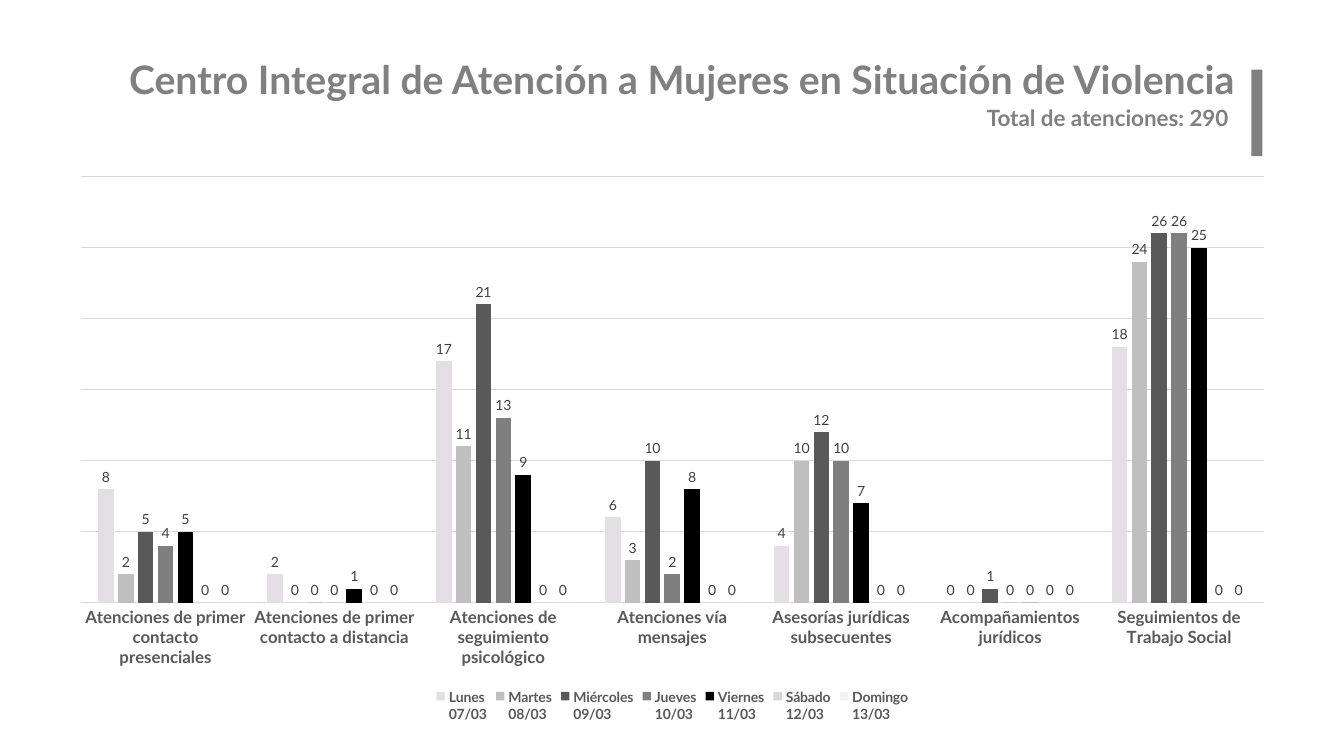
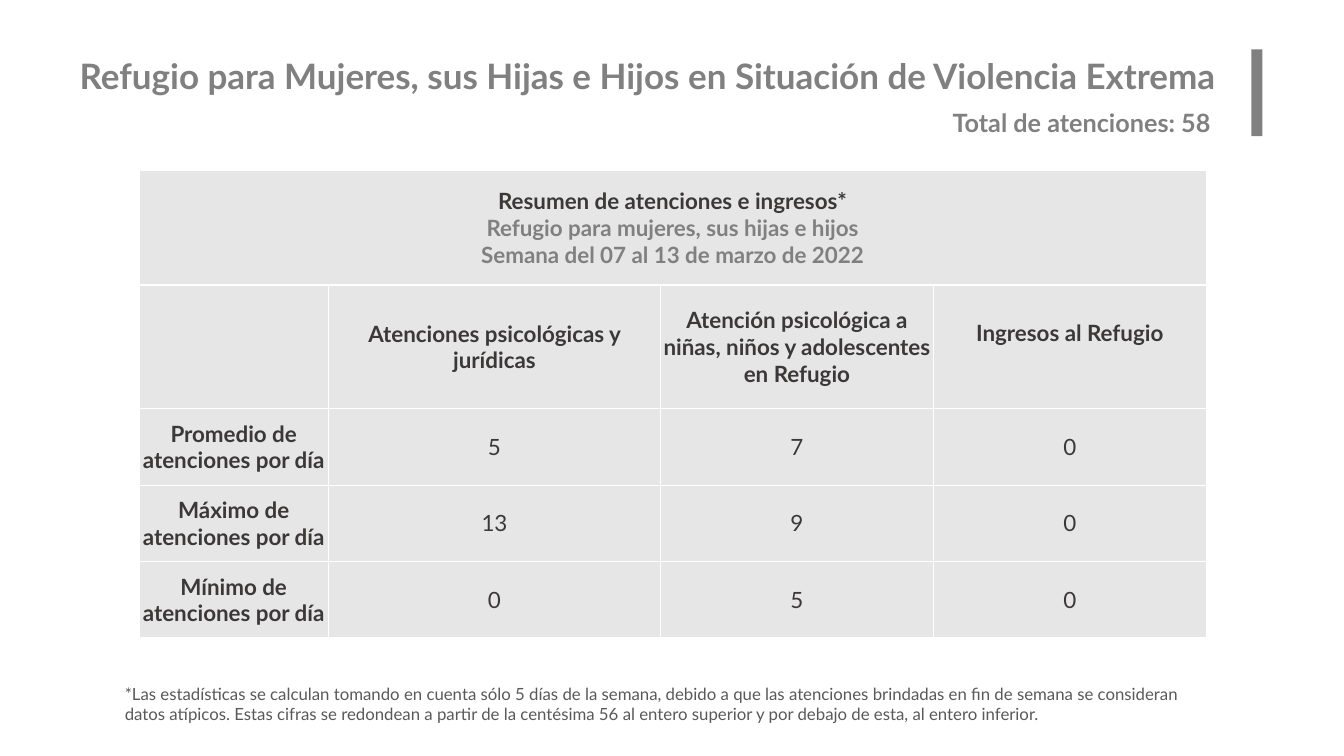
import lxml.etree
import pptx
import pptx.chart.data
import pptx.dml.color
import pptx.enum.chart
import pptx.enum.shapes
import pptx.enum.text
import pptx.oxml
import pptx.oxml.ns
import pptx.util

FONT = "Lato"
ACCENT = "808080"
BODY = "595959"
GRID = "D9D9D9"
LABEL = "404040"
CELL_TEXT = "3B3838"
CELL_FILL = "E7E6E6"
WHITE = "FFFFFF"

SLIDE_WIDTH = pptx.util.Inches(13.33)
SLIDE_HEIGHT = pptx.util.Inches(7.5)
TITLE_ONLY = 5
ALIGN = pptx.enum.text.PP_ALIGN
ANCHOR = pptx.enum.text.MSO_ANCHOR

CATEGORIES = [
    "Atenciones de primer contacto presenciales",
    "Atenciones de primer contacto a distancia",
    "Atenciones de seguimiento psicológico",
    "Atenciones vía mensajes",
    "Asesorías jurídicas subsecuentes",
    "Acompañamientos jurídicos",
    "Seguimientos de Trabajo Social",
]
DAYS = [
    ("Lunes\n07/03", "E3DFE5", (8, 2, 17, 6, 4, 0, 18)),
    ("Martes\n08/03", "BFBFBF", (2, 0, 11, 3, 10, 0, 24)),
    ("Miércoles\n09/03", "595959", (5, 0, 21, 10, 12, 1, 26)),
    ("Jueves\n10/03", "7F7F7F", (4, 0, 13, 2, 10, 0, 26)),
    ("Viernes\n11/03", "000000", (5, 1, 9, 8, 7, 0, 25)),
    ("Sábado\n12/03", "D9D9D9", (0,) * 7),
    ("Domingo\n13/03", "F2F2F2", (0,) * 7),
]

SUMMARY_HEADING = (
    "Resumen de atenciones e ingresos*\n"
    "Refugio para mujeres, sus hijas e hijos\n"
    "Semana del 07 al 13 de marzo de 2022"
)
SUMMARY_ROWS = [
    (SUMMARY_HEADING, "", "", ""),
    ("", "Atenciones psicológicas y jurídicas",
     "Atención psicológica a niñas, niños y adolescentes en Refugio",
     "Ingresos al Refugio"),
    ("Promedio de atenciones por día", "5", "7", "0"),
    ("Máximo de atenciones por día", "13", "9", "0"),
    ("Mínimo de atenciones por día", "0", "5", "0"),
]
COLUMN_WEIGHTS = (1.88, 3.3, 2.71, 2.71)
ROW_WEIGHTS = (1.14, 1.23, 0.76, 0.76, 0.76)
FOOTNOTE = (
    "*Las estadísticas se calculan tomando en cuenta sólo 5 días de la semana, "
    "debido a que las atenciones brindadas en fin de semana se consideran datos "
    "atípicos. Estas cifras se redondean a partir de la centésima 56 al entero "
    "superior y por debajo de esta, al entero inferior."
)


def color(value):
    return pptx.dml.color.RGBColor.from_string(value)


def area(left, top, width, height):
    """Turn percentages of the slide into lengths."""
    return (
        int(SLIDE_WIDTH * left / 100),
        int(SLIDE_HEIGHT * top / 100),
        int(SLIDE_WIDTH * width / 100),
        int(SLIDE_HEIGHT * height / 100),
    )


def style_font(font, size, hex_color, bold=False):
    font.name = FONT
    font.size = pptx.util.Pt(size)
    font.bold = bold
    font.color.rgb = color(hex_color)


def set_margins(target, horizontal, vertical):
    target.margin_left = target.margin_right = pptx.util.Inches(horizontal)
    target.margin_top = target.margin_bottom = pptx.util.Inches(vertical)


def fill_frame(frame, text, size, hex_color, bold, align, margins=(0.1, 0.05)):
    frame.text = text
    frame.word_wrap = True
    frame.auto_size = pptx.enum.text.MSO_AUTO_SIZE.NONE
    frame.vertical_anchor = ANCHOR.TOP
    set_margins(frame, *margins)
    paragraph = frame.paragraphs[0]
    paragraph.alignment = align
    style_font(paragraph.font, size, hex_color, bold)


def add_title(slide, place, text, size, align, margins):
    title = slide.shapes.title
    title.left, title.top, title.width, title.height = area(*place)
    fill_frame(title.text_frame, text, size, ACCENT, True, align, margins)


def add_text(slide, place, text, size, hex_color, bold=False):
    shape = slide.shapes.add_textbox(*area(*place))
    fill_frame(shape.text_frame, text, size, hex_color, bold, ALIGN.LEFT)


def add_accent_bar(slide, top):
    bar = slide.shapes.add_shape(
        pptx.enum.shapes.MSO_SHAPE.RECTANGLE, *area(93.1, top, 0.83, 11.47))
    bar.shadow.inherit = False
    bar.fill.solid()
    bar.fill.fore_color.rgb = color(ACCENT)
    bar.line.fill.background()


def style_line(line):
    line.color.rgb = color(GRID)
    line.width = pptx.util.Pt(0.75)


def style_axes(chart):
    category_axis = chart.category_axis
    category_axis.major_tick_mark = pptx.enum.chart.XL_TICK_MARK.NONE
    style_font(category_axis.tick_labels.font, 12, BODY, True)
    style_line(category_axis.format.line)
    value_axis = chart.value_axis
    value_axis.visible = False
    value_axis.minimum_scale = 0
    value_axis.maximum_scale = 30
    value_axis.major_unit = 5
    value_axis.has_major_gridlines = True
    style_line(value_axis.major_gridlines.format.line)


def style_series(series, fill):
    series.format.fill.solid()
    series.format.fill.fore_color.rgb = color(fill)
    labels = series.data_labels
    labels.show_value = True
    labels.position = pptx.enum.chart.XL_LABEL_POSITION.OUTSIDE_END
    style_font(labels.font, 10, LABEL)


def add_column_chart(slide, place):
    data = pptx.chart.data.CategoryChartData()
    data.categories = CATEGORIES
    for name, _, values in DAYS:
        data.add_series(name, values)
    chart = slide.shapes.add_chart(
        pptx.enum.chart.XL_CHART_TYPE.COLUMN_CLUSTERED, *area(*place), data).chart
    style_font(chart.font, 10, "000000")
    chart.has_title = False
    chart.has_legend = True
    chart.legend.position = pptx.enum.chart.XL_LEGEND_POSITION.BOTTOM
    chart.legend.include_in_layout = False
    style_font(chart.legend.font, 10, BODY, True)
    style_axes(chart)
    plot = chart.plots[0]
    plot.vary_by_categories = False
    plot.gap_width = 219
    plot.overlap = -27
    for series, (_, fill, _) in zip(plot.series, DAYS):
        style_series(series, fill)


def add_borders(cell):
    properties = cell._tc.get_or_add_tcPr()
    for side in ("lnL", "lnR", "lnT", "lnB"):
        line = lxml.etree.SubElement(
            properties, pptx.oxml.ns.qn(f"a:{side}"), w=str(pptx.util.Pt(1)))
        fill = lxml.etree.SubElement(line, pptx.oxml.ns.qn("a:solidFill"))
        lxml.etree.SubElement(fill, pptx.oxml.ns.qn("a:srgbClr"), val=WHITE)


def style_cell(cell, text, bold):
    add_borders(cell)
    cell.fill.solid()
    cell.fill.fore_color.rgb = color(CELL_FILL)
    cell.vertical_anchor = ANCHOR.MIDDLE
    set_margins(cell, 0, 0)
    cell.text_frame.text = text
    for index, paragraph in enumerate(cell.text_frame.paragraphs):
        paragraph.alignment = ALIGN.CENTER
        style_font(paragraph.font, 16, ACCENT if index else CELL_TEXT, bold)


def add_summary_table(slide, place):
    left, top, width, height = area(*place)
    table = slide.shapes.add_table(
        len(ROW_WEIGHTS), len(COLUMN_WEIGHTS), left, top, width, height).table
    table.first_row = False
    table.horz_banding = False
    for column, weight in zip(table.columns, COLUMN_WEIGHTS):
        column.width = int(width * weight / sum(COLUMN_WEIGHTS))
    for row, weight in zip(table.rows, ROW_WEIGHTS):
        row.height = int(height * weight / sum(ROW_WEIGHTS))
    for row_index, texts in enumerate(SUMMARY_ROWS):
        for column_index, text in enumerate(texts):
            bold = row_index < 2 or column_index == 0
            style_cell(table.cell(row_index, column_index), text, bold)
    table.cell(0, 0).merge(table.cell(0, len(COLUMN_WEIGHTS) - 1))
    table.cell(1, 3).margin_bottom = pptx.util.Inches(0.27)


def add_center_slide(presentation):
    slide = presentation.slides.add_slide(presentation.slide_layouts[TITLE_ONLY])
    add_accent_bar(slide, 9.2)
    add_title(slide, (4.73, 6, 88.6, 11.6),
              "Centro Integral de Atención a Mujeres en Situación de Violencia",
              28, ALIGN.RIGHT, (0.2, 0.1))
    add_text(slide, (72.69, 13.07, 21.38, 4.93),
             "Total de atenciones: 290", 16, ACCENT, True)
    add_column_chart(slide, (4.2, 21.87, 91.65, 74.27))


def add_shelter_slide(presentation):
    slide = presentation.slides.add_slide(presentation.slide_layouts[TITLE_ONLY])
    add_accent_bar(slide, 6.53)
    add_summary_table(slide, (10.35, 22.53, 79.4, 61.87))
    add_text(slide, (70.14, 13.6, 22.96, 5.33),
             "Total de atenciones: 58", 18, ACCENT, True)
    add_title(slide, (5.18, 6.53, 87.92, 6.93),
              "Refugio para Mujeres, sus Hijas e Hijos en Situación de Violencia Extrema",
              25, ALIGN.LEFT, (0.1, 0.05))
    add_text(slide, (8.55, 89.73, 82.9, 6.67), FOOTNOTE, 12, BODY)


def main():
    presentation = pptx.Presentation()
    presentation.slide_width = SLIDE_WIDTH
    presentation.slide_height = SLIDE_HEIGHT
    add_center_slide(presentation)
    add_shelter_slide(presentation)
    presentation.save("out.pptx")


if __name__ == "__main__":
    main()
